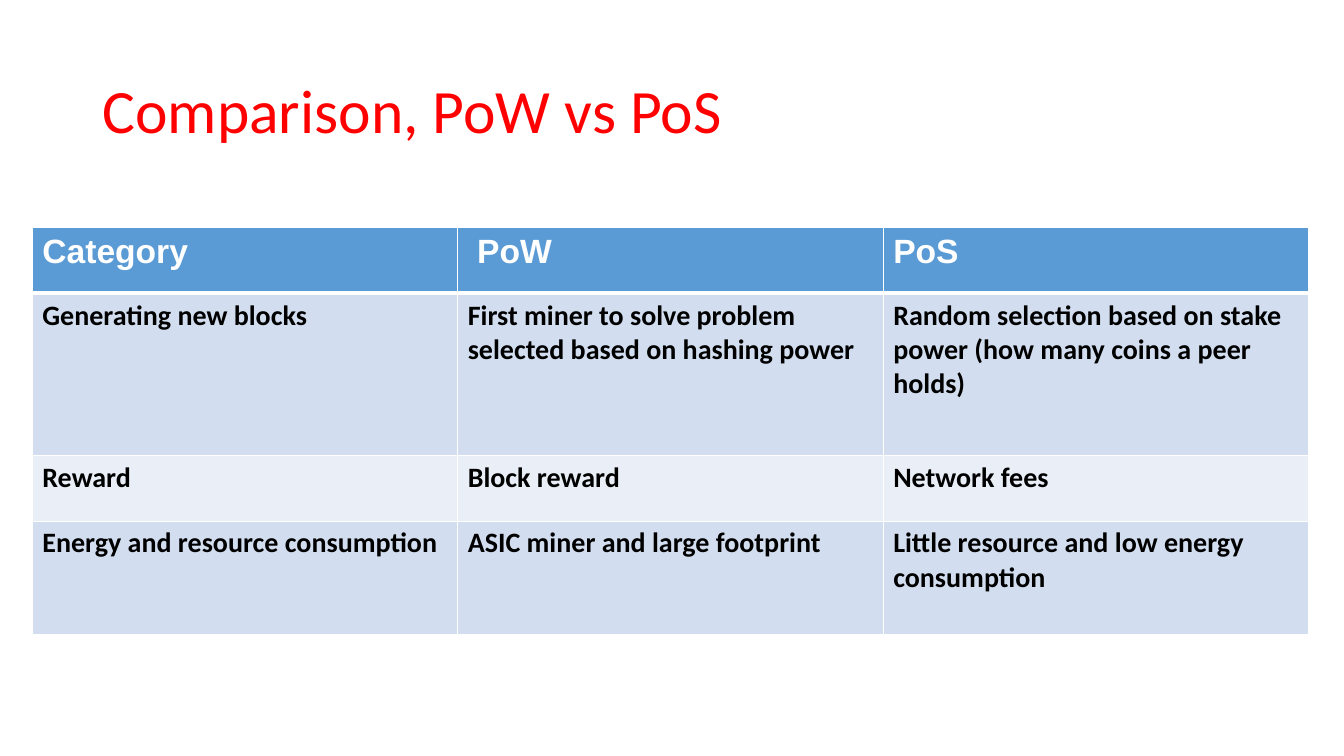
from dataclasses import dataclass

from lxml.etree import SubElement
from pptx import Presentation
from pptx.dml.color import RGBColor
from pptx.enum.text import MSO_ANCHOR
from pptx.oxml.ns import qn
from pptx.slide import Slide
from pptx.table import _Cell
from pptx.util import Inches, Pt

COLORS = {
    "title": "FF0000",
    "header": "5B9BD5",
    "band_dark": "D2DEEF",
    "band_light": "EAEFF7",
    "white": "FFFFFF",
    "black": "000000",
}
COLUMN_WIDTH = 4.22


@dataclass(frozen=True)
class RowStyle:
    fill: str
    text_color: str = "black"
    font_name: str = "Calibri"
    font_size: int = 20
    bottom_border: int = 1


@dataclass(frozen=True)
class ComparisonRow:
    height: float
    texts: tuple[str, str, str]
    style: RowStyle


HEADER = RowStyle("header", "white", "Arial", 24, 3)
DARK = RowStyle("band_dark")
LIGHT = RowStyle("band_light")

ROWS = (
    ComparisonRow(0.65, ("Category", " PoW", "PoS"), HEADER),
    ComparisonRow(1.61, (
        "Generating new blocks",
        "First miner to solve problem selected based on hashing power",
        "Random selection based on stake\npower (how many coins a peer holds)",
    ), DARK),
    ComparisonRow(0.65, ("Reward", "Block reward", "Network fees"), LIGHT),
    ComparisonRow(1.13, (
        "Energy and resource consumption",
        "ASIC miner and large footprint",
        "Little resource and low energy\nconsumption",
    ), DARK),
)


def color(name: str) -> RGBColor:
    return RGBColor.from_string(COLORS[name])


def add_title(slide: Slide, text: str) -> None:
    title = slide.shapes.add_textbox(Inches(0.92), Inches(0.4), Inches(11.5), Inches(1.45))
    frame = title.text_frame
    frame.word_wrap = True
    frame.vertical_anchor = MSO_ANCHOR.MIDDLE
    paragraph = frame.paragraphs[0]
    paragraph.text = text
    paragraph.line_spacing = 0.9
    paragraph.font.name = "Calibri"
    paragraph.font.size = Pt(44)
    paragraph.font.color.rgb = color("title")


def set_borders(cell: _Cell, bottom_width: int) -> None:
    """Draw white borders; they must precede the fill in the cell properties."""
    properties = cell._tc.get_or_add_tcPr()
    for side, width in (("L", 1), ("R", 1), ("T", 1), ("B", bottom_width)):
        line = SubElement(properties, qn(f"a:ln{side}"), w=str(Pt(width)))
        fill = SubElement(line, qn("a:solidFill"))
        SubElement(fill, qn("a:srgbClr"), val=COLORS["white"])


def fill_cell(cell: _Cell, text: str, style: RowStyle) -> None:
    set_borders(cell, style.bottom_border)
    cell.fill.solid()
    cell.fill.fore_color.rgb = color(style.fill)
    cell.text = text
    for paragraph in cell.text_frame.paragraphs:
        paragraph.font.name = style.font_name
        paragraph.font.size = Pt(style.font_size)
        paragraph.font.bold = True
        paragraph.font.color.rgb = color(style.text_color)


def add_comparison_table(slide: Slide, rows: tuple[ComparisonRow, ...]) -> None:
    column_count = len(rows[0].texts)
    table = slide.shapes.add_table(
        len(rows), column_count, Inches(0.32), Inches(2.26),
        Inches(COLUMN_WIDTH * column_count), Inches(sum(row.height for row in rows)),
    ).table
    for column in table.columns:
        column.width = Inches(COLUMN_WIDTH)
    for table_row, row in zip(table.rows, rows):
        table_row.height = Inches(row.height)
        for cell, text in zip(table_row.cells, row.texts):
            fill_cell(cell, text, row.style)


def main() -> None:
    presentation = Presentation()
    presentation.slide_width = Inches(13.33)
    presentation.slide_height = Inches(7.5)
    slide = presentation.slides.add_slide(presentation.slide_layouts[6])
    add_title(slide, "Comparison, PoW vs PoS")
    add_comparison_table(slide, ROWS)
    presentation.save("out.pptx")


if __name__ == "__main__":
    main()
